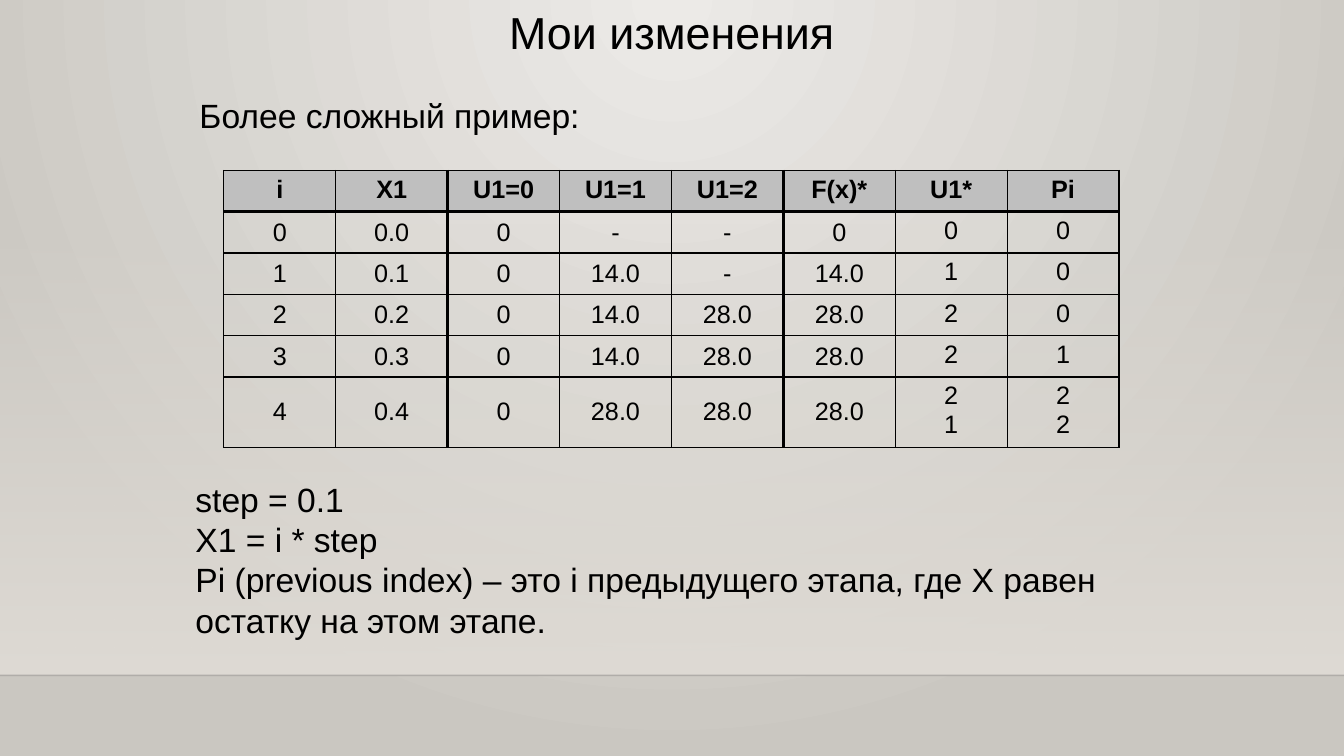
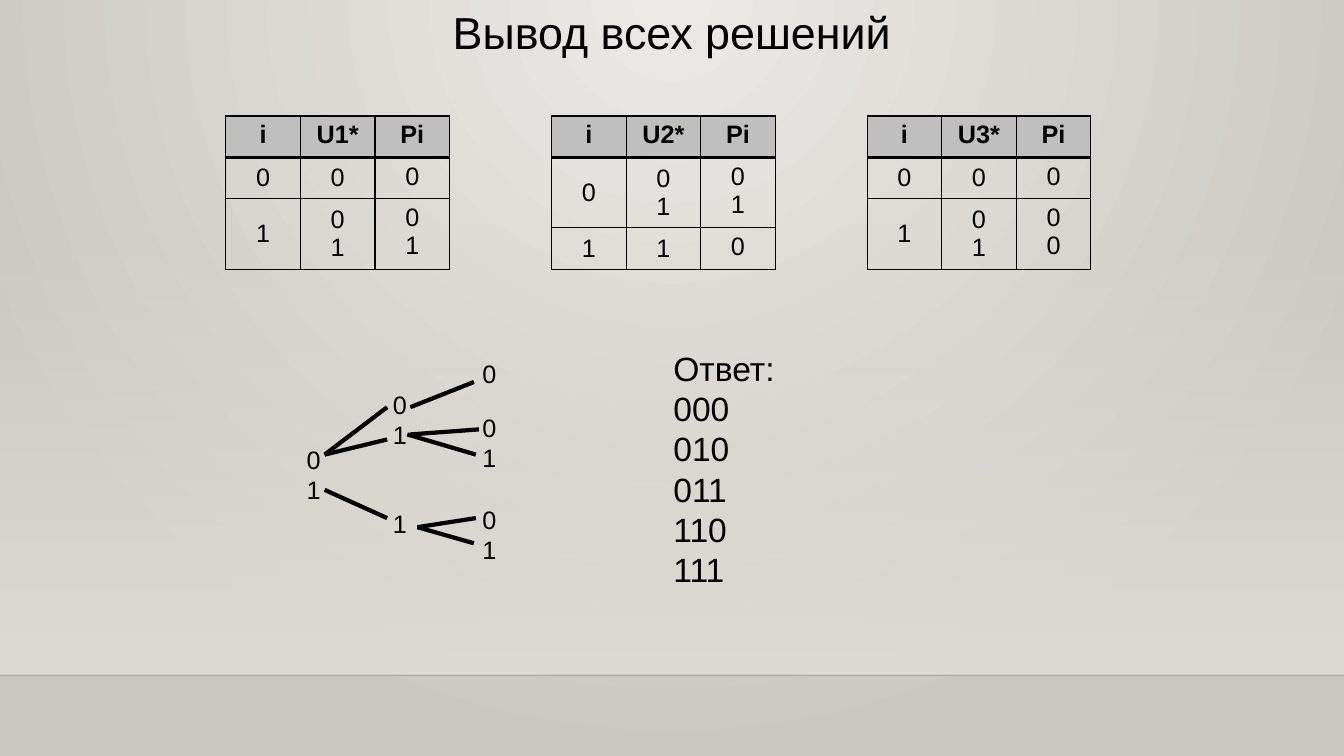
"""Build two slides on dynamic programming tables and the listing of all solutions."""
from dataclasses import dataclass

from pptx import Presentation
from pptx.dml.color import RGBColor
from pptx.enum.shapes import MSO_CONNECTOR, MSO_SHAPE
from pptx.enum.text import MSO_ANCHOR, MSO_AUTO_SIZE, PP_ALIGN
from pptx.oxml import parse_xml
from pptx.oxml.ns import nsdecls, qn
from pptx.oxml.xmlchemy import BaseOxmlElement
from pptx.presentation import Presentation as Deck
from pptx.shapes.connector import Connector
from pptx.shapes.shapetree import GroupShapes, SlideShapes
from pptx.slide import Slide
from pptx.table import _Cell
from pptx.text.text import TextFrame
from pptx.util import Inches, Pt

LEFT, CENTER = PP_ALIGN.LEFT, PP_ALIGN.CENTER
TOP, MIDDLE = MSO_ANCHOR.TOP, MSO_ANCHOR.MIDDLE
FIT_TEXT = MSO_AUTO_SIZE.SHAPE_TO_FIT_TEXT
STRAIGHT = MSO_CONNECTOR.STRAIGHT
RECTANGLE = MSO_SHAPE.RECTANGLE

COLORS = {
    "ink": "000000",
    "header": "BFBFBF",
    "glow": "ECEAE7",
    "edge": "CAC7C1",
    "wall": "DFDBD5",
    "floor_line": "000001",
}
FONT = "Arial"
TITLE_SIZE, BODY_SIZE, SMALL_SIZE = 32, 24, 18
SLIDE_WIDTH, SLIDE_HEIGHT = 13.33, 7.5
WALL_TOP, FLOOR_TOP = 2.21, 6.7
THIN, THICK = 1, 2.25
ROW_HEIGHT, TALL_ROW_HEIGHT = 0.41, 0.69


@dataclass(frozen=True)
class Label:
    """A block of text lines and its place in inches."""

    left: float
    top: float
    width: float
    height: float
    text: str
    size: int = BODY_SIZE
    align: PP_ALIGN = LEFT


@dataclass(frozen=True)
class Grid:
    """A table of stages, with its top-anchored and heavily ruled columns."""

    left: float
    top: float
    column_width: float
    rows: list[list[str]]
    top_columns: tuple[int, ...]
    heavy_after: tuple[int, ...] = ()


@dataclass(frozen=True)
class Branch:
    """A line of the solution tree, in inches."""

    x1: float
    y1: float
    x2: float
    y2: float


STAGES = Grid(2.22, 1.69, 1.11, [
    ["i", "X1", "U1=0", "U1=1", "U1=2", "F(x)*", "U1*", "Pi"],
    ["0", "0.0", "0", "-", "-", "0", "0", "0"],
    ["1", "0.1", "0", "14.0", "-", "14.0", "1", "0"],
    ["2", "0.2", "0", "14.0", "28.0", "28.0", "2", "0"],
    ["3", "0.3", "0", "14.0", "28.0", "28.0", "2", "1"],
    ["4", "0.4", "0", "28.0", "28.0", "28.0", "2\n1", "2\n2"],
], top_columns=(6, 7), heavy_after=(1, 4))

EXAMPLE_TEXTS = [
    Label(1.88, 0.89, 9.89, 0.5, "Более сложный пример:"),
    Label(1.84, 4.7, 9.93, 1.72,
          "step = 0.1\nX1 = i * step\n"
          "Pi (previous index) – это i предыдущего этапа, "
          "где X равен остатку на этом этапе."),
]

SOLUTIONS = [
    Grid(left, 1.15, 0.74, [["i", choice, "Pi"], *rows], top_columns=(2,))
    for left, choice, rows in [
        (2.24, "U1*", [["0", "0", "0"], ["1", "0\n1", "0\n1"]]),
        (5.47, "U2*", [["0", "0\n1", "0\n1"], ["1", "1", "0"]]),
        (8.6, "U3*", [["0", "0", "0"], ["1", "0\n1", "0\n0"]]),
    ]
]

ANSWER = Label(6.58, 3.4, 4.05, 2.52, "Ответ:\n000\n010\n011\n110\n111")

TREE_NODES = [
    Label(left, top, width, height, text, SMALL_SIZE, CENTER)
    for left, top, width, height, text in [
        (2.7, 4.36, 0.82, 0.71, "0\n1"),
        (3.52, 3.81, 0.89, 0.71, "0\n1"),
        (3.52, 4.99, 0.89, 0.4, "1"),
        (4.41, 3.51, 0.89, 0.4, "0"),
        (4.41, 4.04, 0.89, 0.71, "0\n1"),
        (4.41, 4.95, 0.89, 0.71, "0\n1"),
    ]
]

TREE_BRANCHES = [
    Branch(3.22, 4.51, 3.84, 4.04),
    Branch(3.22, 4.51, 3.84, 4.36),
    Branch(3.22, 4.86, 3.84, 5.14),
    Branch(4.07, 4.04, 4.7, 3.79),
    Branch(4.07, 4.31, 4.75, 4.26),
    Branch(4.04, 4.31, 4.72, 4.51),
    Branch(4.14, 5.23, 4.72, 5.14),
    Branch(4.14, 5.23, 4.7, 5.39),
]


def rgb(name: str) -> RGBColor:
    """Return a palette colour."""
    return RGBColor.from_string(COLORS[name])


def write(frame: TextFrame, text: str, size: int, align: PP_ALIGN, bold: bool = False) -> None:
    """Fill a text frame with one paragraph per line, all in one style."""
    frame.text = text
    for paragraph in frame.paragraphs:
        paragraph.alignment = align
        paragraph.font.name = FONT
        paragraph.font.size = Pt(size)
        paragraph.font.bold = bold
        paragraph.font.color.rgb = rgb("ink")


def add_label(shapes: SlideShapes | GroupShapes, label: Label) -> None:
    """Draw a block of text."""
    box = shapes.add_textbox(Inches(label.left), Inches(label.top),
                             Inches(label.width), Inches(label.height))
    box.text_frame.word_wrap = True
    box.text_frame.auto_size = FIT_TEXT
    write(box.text_frame, label.text, label.size, label.align)


def add_line(shapes: SlideShapes | GroupShapes, branch: Branch, color: str, width: float) -> Connector:
    """Draw a straight line without a shadow."""
    line = shapes.add_connector(STRAIGHT, Inches(branch.x1), Inches(branch.y1),
                                Inches(branch.x2), Inches(branch.y2))
    line.line.color.rgb = rgb(color)
    line.line.width = Pt(width)
    line.element.spPr.append(parse_xml(f"<a:effectLst {nsdecls('a')}/>"))
    return line


def set_borders(cell: _Cell, widths: dict[str, float]) -> None:
    """Rule the sides of a cell, given in the order L, R, T, B."""
    properties = cell._tc.get_or_add_tcPr()
    for side, width in widths.items():
        properties.append(parse_xml(
            f'<a:ln{side} {nsdecls("a")} w="{Pt(width)}"><a:solidFill>'
            f'<a:srgbClr val="{COLORS["ink"]}"/></a:solidFill></a:ln{side}>'))


def add_grid(slide: Slide, grid: Grid) -> None:
    """Draw a table with a grey header row."""
    columns = len(grid.rows[0])
    heights = [TALL_ROW_HEIGHT if any("\n" in text for text in row) else ROW_HEIGHT
               for row in grid.rows]
    table = slide.shapes.add_table(
        len(grid.rows), columns, Inches(grid.left), Inches(grid.top),
        Inches(grid.column_width * columns), Inches(sum(heights))).table
    table.first_row = table.horz_banding = False
    for column in table.columns:
        column.width = Inches(grid.column_width)
    for r, (row, height) in enumerate(zip(grid.rows, heights)):
        table.rows[r].height = Inches(height)
        for c, text in enumerate(row):
            cell = table.cell(r, c)
            header = r == 0
            set_borders(cell, {
                "L": THICK if c - 1 in grid.heavy_after else THIN,
                "R": THICK if c in grid.heavy_after else THIN,
                "T": THICK if r == 1 else THIN,
                "B": THICK if header else THIN,
            })
            if header:
                cell.fill.solid()
                cell.fill.fore_color.rgb = rgb("header")
            else:
                cell.fill.background()
            cell.vertical_anchor = TOP if header or c in grid.top_columns else MIDDLE
            write(cell.text_frame, text, SMALL_SIZE, CENTER, bold=header)


def set_gradient(properties: BaseOxmlElement, start: str, end: str, direction: str, start_alpha: int = 100) -> None:
    """Replace a default gradient by one with two stops and a direction."""
    gradient = parse_xml(
        f'<a:gradFill {nsdecls("a")} rotWithShape="1"><a:gsLst>'
        f'<a:gs pos="0"><a:srgbClr val="{COLORS[start]}">'
        f'<a:alpha val="{start_alpha * 1000}"/></a:srgbClr></a:gs>'
        f'<a:gs pos="100000"><a:srgbClr val="{COLORS[end]}"/></a:gs>'
        f'</a:gsLst>{direction}</a:gradFill>')
    properties.replace(properties.find(qn("a:gradFill")), gradient)


def dress_master(deck: Deck, slide: Slide) -> None:
    """Put the glow, the wall and the floor line on the master, drawing them by way of a slide."""
    master = deck.slide_master
    master.background.fill.gradient()
    set_gradient(master.element.xpath("p:cSld/p:bg/p:bgPr")[0], "glow", "edge",
                 '<a:path path="circle"><a:fillToRect l="43000" t="0" r="43000" b="100000"/></a:path>')
    wall = slide.shapes.add_shape(RECTANGLE, 0, Inches(WALL_TOP),
                                  Inches(SLIDE_WIDTH), Inches(FLOOR_TOP - WALL_TOP))
    wall.shadow.inherit = False
    wall.line.fill.background()
    wall.fill.gradient()
    set_gradient(wall.element.spPr, "wall", "wall", '<a:lin ang="5400000" scaled="0"/>', start_alpha=0)
    floor_line = add_line(slide.shapes, Branch(0, FLOOR_TOP, SLIDE_WIDTH, FLOOR_TOP), "floor_line", 1)
    floor_color = floor_line.element.spPr.xpath(".//a:srgbClr")[0]
    floor_color.append(parse_xml(f'<a:alpha {nsdecls("a")} val="20000"/>'))
    for part in (wall, floor_line):
        master.shapes.element.append(part.element)


def add_titled_slide(deck: Deck, title: str) -> Slide:
    """Add a blank slide with a centred title."""
    slide = deck.slides.add_slide(deck.slide_layouts[6])
    add_label(slide.shapes, Label(2.03, 0, 9.27, 0.64, title, TITLE_SIZE, CENTER))
    return slide


def add_tree(slide: Slide) -> None:
    """Draw the tree of solutions as one group."""
    tree = slide.shapes.add_group_shape().shapes
    for node in TREE_NODES:
        add_label(tree, node)
    for branch in TREE_BRANCHES:
        add_line(tree, branch, "ink", 3)


def main() -> None:
    """Build and save the deck."""
    deck = Presentation()
    deck.slide_width, deck.slide_height = Inches(SLIDE_WIDTH), Inches(SLIDE_HEIGHT)

    example = add_titled_slide(deck, "Мои изменения")
    dress_master(deck, example)
    add_grid(example, STAGES)
    for label in EXAMPLE_TEXTS:
        add_label(example.shapes, label)

    solutions = add_titled_slide(deck, "Вывод всех решений")
    for grid in SOLUTIONS:
        add_grid(solutions, grid)
    add_label(solutions.shapes, ANSWER)
    add_tree(solutions)

    deck.save("out.pptx")


if __name__ == "__main__":
    main()
